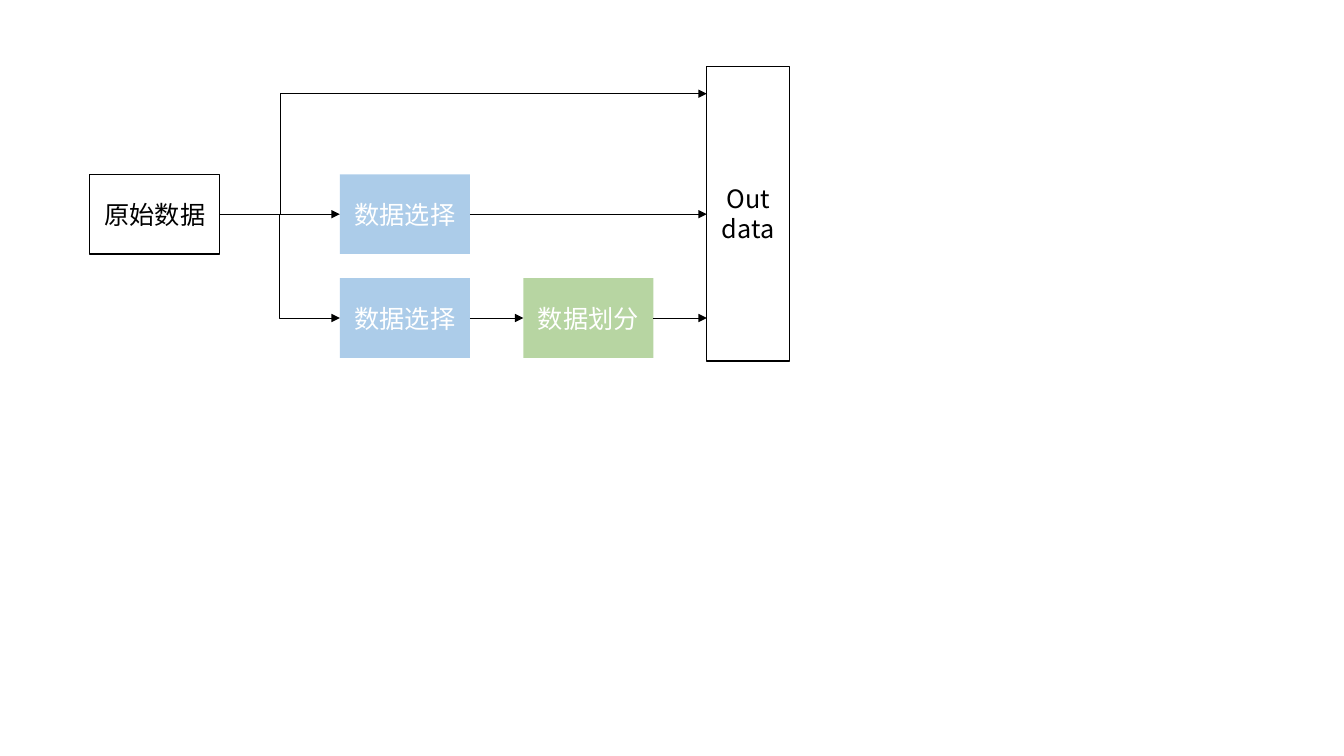
import pptx
import pptx.dml.color
import pptx.enum.shapes
import pptx.enum.text
import pptx.oxml
import pptx.oxml.ns
import pptx.util
from lxml import etree

Inches = pptx.util.Inches
FONT = "Noto Sans CJK SC"
COLORS = {"ink": "000000", "paper": "FFFFFF", "select": "5B9BD5", "split": "70AD47"}

# Grid in inches: the left edges of the columns and the top edges of the rows
SOURCE_LEFT = 0.89
STEP_LEFT = [3.37 + 1.82 * column for column in range(3)]
ROW_TOP = [1.73 + 1.03 * row for row in range(2)]
BOX_WIDTH, BOX_HEIGHT = 1.29, 0.79
ROW_MIDDLE = [top + BOX_HEIGHT / 2 for top in ROW_TOP]
TOP_BRANCH = 0.93
LEFT_SIDE, RIGHT_SIDE = 1, 3


def color(name):
    return pptx.dml.color.RGBColor.from_string(COLORS[name])


def add_child(parent, tag, **attributes):
    return etree.SubElement(parent, pptx.oxml.ns.qn(tag), attributes)


def add_box(slide, lines, left, top, fill="paper", width=BOX_WIDTH, height=BOX_HEIGHT):
    """Add an outlined paper box, or a half-transparent coloured box without outline."""
    box = slide.shapes.add_shape(
        pptx.enum.shapes.MSO_SHAPE.RECTANGLE,
        Inches(left), Inches(top), Inches(width), Inches(height))
    box.shadow.inherit = False
    box.fill.solid()
    box.fill.fore_color.rgb = color(fill)
    if fill == "paper":
        box.line.color.rgb = color("ink")
        box.line.width = pptx.util.Pt(1)
    else:
        box.line.fill.background()
        tint = box._element.spPr.find(".//" + pptx.oxml.ns.qn("a:srgbClr"))
        add_child(tint, "a:alpha", val="50000")

    box.text_frame.vertical_anchor = pptx.enum.text.MSO_ANCHOR.MIDDLE
    para = box.text_frame.paragraphs[0]
    para.alignment = pptx.enum.text.PP_ALIGN.CENTER
    for number, line in enumerate(lines):
        if number:
            para.add_line_break()
        span = para.add_run()
        span.text = line
        span.font.size = pptx.util.Pt(18)
        span.font.name = FONT
        span.font.color.rgb = color("ink" if fill == "paper" else "paper")
        add_child(span.font._element, "a:ea", typeface=FONT)
    return box


def add_arrow(slide, start, end, end_y=None, bend=None):
    """Join two boxes; end_y sets a height off the middle of the end box's side.

    bend is the share of the width at which an elbow turns; None is straight.
    """
    kinds = pptx.enum.shapes.MSO_CONNECTOR
    start_y = start.top + start.height // 2
    arrow = slide.shapes.add_connector(
        kinds.STRAIGHT if bend is None else kinds.ELBOW,
        start.left + start.width, start_y,
        end.left, start_y if end_y is None else Inches(end_y))
    arrow.begin_connect(start, RIGHT_SIDE)
    if end_y is None:
        end.top  # the end follows the middle of the box's left side
        arrow.end_connect(end, LEFT_SIDE)
    arrow.line.color.rgb = color("ink")
    arrow.line.width = pptx.util.Pt(0.5)
    properties = arrow._element.spPr
    add_child(arrow.line._get_or_add_ln(), "a:tailEnd", type="triangle")
    add_child(properties, "a:effectLst")
    if bend is not None:
        adjustments = properties.find(".//" + pptx.oxml.ns.qn("a:avLst"))
        add_child(adjustments, "a:gd", name="adj1", fmla=f"val {round(bend * 100000)}")


def main():
    deck = pptx.Presentation()
    deck.slide_width, deck.slide_height = Inches(13.33), Inches(7.5)
    slide = deck.slides.add_slide(deck.slide_layouts[6])

    source = add_box(slide, ["原始数据"], SOURCE_LEFT, ROW_TOP[0])
    upper_select, lower_select = [
        add_box(slide, ["数据选择"], STEP_LEFT[0], top, "select") for top in ROW_TOP]
    split = add_box(slide, ["数据划分"], STEP_LEFT[1], ROW_TOP[1], "split")
    output = add_box(slide, ["Out", "data"], STEP_LEFT[2], 0.66, width=0.82, height=2.92)

    add_arrow(slide, source, upper_select)
    add_arrow(slide, source, lower_select, bend=0.5)
    add_arrow(slide, source, output, TOP_BRANCH, bend=0.124)
    add_arrow(slide, upper_select, output, ROW_MIDDLE[0])
    add_arrow(slide, lower_select, split)
    add_arrow(slide, split, output, ROW_MIDDLE[1])
    deck.save("out.pptx")


if __name__ == "__main__":
    main()
